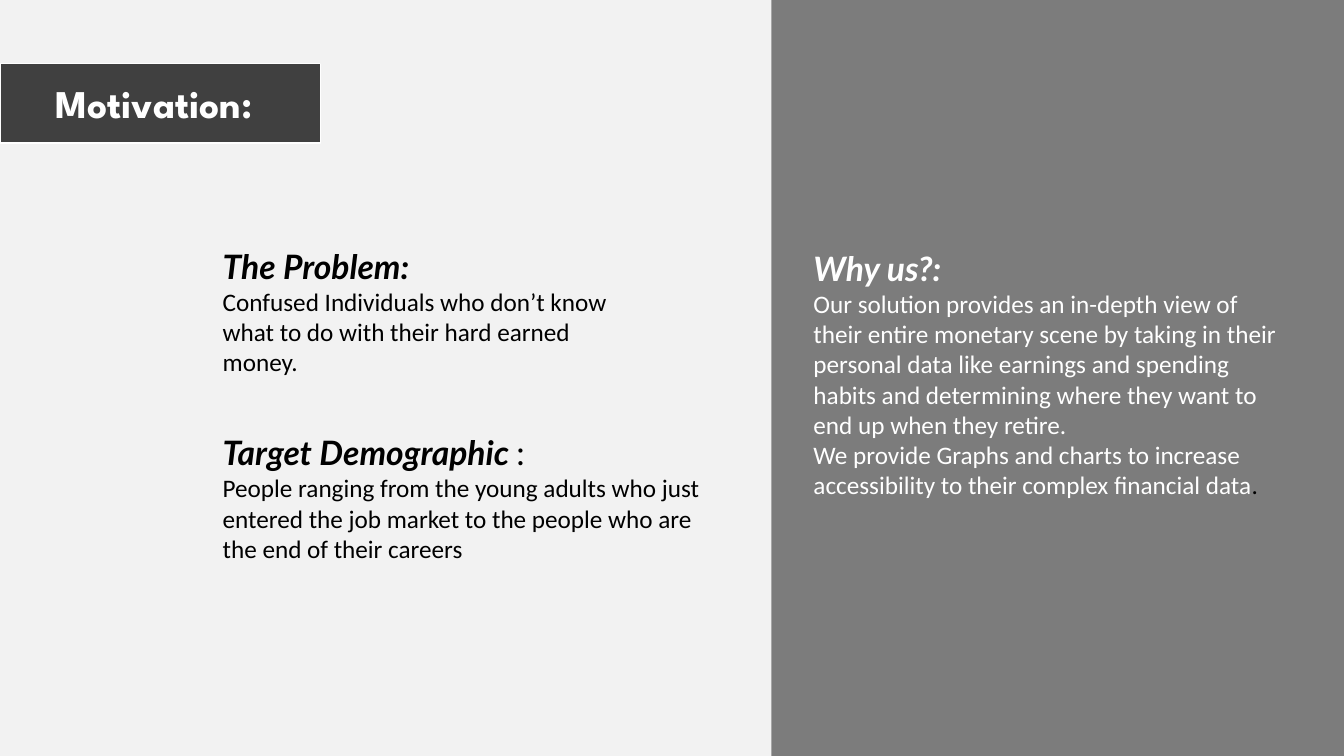
from dataclasses import dataclass
from typing import NamedTuple, Optional

from pptx import Presentation
from pptx.dml.color import RGBColor
from pptx.enum.shapes import MSO_SHAPE
from pptx.enum.text import MSO_AUTO_SIZE
from pptx.util import Inches, Pt

RECT = MSO_SHAPE.RECTANGLE
GROW = MSO_AUTO_SIZE.SHAPE_TO_FIT_TEXT
WIDE, HIGH = Inches(13.33), Inches(7.5)


@dataclass(frozen=True)
class Theme:
    """Colours, fonts and type sizes of the slide."""
    pale: str = "F2F2F2"
    gray: str = "7C7C7C"
    dark: str = "404040"
    white: str = "FFFFFF"
    black: str = "000000"
    title: str = "League Spartan"
    head: str = "Lato"
    body: str = "Calibri"
    big: int = 28
    mid: int = 24
    small: int = 18


class Area(NamedTuple):
    """Left, top, width and height in percent of the slide."""
    left: float
    top: float
    wide: float
    high: float

    def place(self) -> tuple[int, int, int, int]:
        """Turn the shares into slide lengths."""
        sides = (WIDE, HIGH, WIDE, HIGH)
        return tuple(round(side * share / 100) for side, share in zip(sides, self))


class Panel(NamedTuple):
    """A filled block, with an edge colour if it has one."""
    area: Area
    fill: str
    edge: Optional[str] = None


class Run(NamedTuple):
    """Words with one look; the style holds font values."""
    text: str
    color: str
    style: dict


class Block(NamedTuple):
    """A text box, one list of runs per paragraph."""
    area: Area
    paras: list[list[Run]]


LOOK = Theme()
TITLE = {"name": LOOK.title, "size": Pt(LOOK.big), "bold": True}
HEAD = {"name": LOOK.head, "size": Pt(LOOK.mid), "bold": True, "italic": True}
COLON = {**HEAD, "bold": False, "italic": False}
BODY = {"name": LOOK.body, "size": Pt(LOOK.small), "bold": False, "italic": False}

SPLIT = 57.39
INDENT = 15.83
COLUMN = 37.06

PANELS = [
    Panel(Area(0, 0, SPLIT, 100), LOOK.pale),
    Panel(Area(SPLIT, 0, 100 - SPLIT, 100), LOOK.gray),
    Panel(Area(0, 8.4, 23.86, 10.53), LOOK.dark, LOOK.white),
]

BLOCKS = [
    Block(Area(3.38, 9.87, 17.1, 7.6), [[Run("Motivation:", LOOK.white, TITLE)]]),
    Block(Area(INDENT, 56.53, COLUMN, 18.8), [
        [Run("Target Demographic ", LOOK.black, HEAD), Run(":", LOOK.black, COLON)],
        [Run("People ranging from the young adults who just entered the job "
             "market to the people who are the end of their careers",
             LOOK.black, BODY)],
    ]),
    Block(Area(59.79, 32.13, COLUMN, 35.07), [
        [Run("Why us?:", LOOK.white, HEAD)],
        [Run("Our solution provides an in-depth view of their entire monetary "
             "scene by taking in their personal data like earnings and spending "
             "habits and determining where they want to end up when they retire.",
             LOOK.white, BODY)],
        [Run("We provide Graphs and charts to increase accessibility to their "
             "complex financial data", LOOK.white, BODY),
         Run(".", LOOK.black, BODY)],
    ]),
    Block(Area(INDENT, 31.87, 31.96, 18.8), [
        [Run("The Problem:", LOOK.black, HEAD)],
        [Run("Confused Individuals who don\u2019t know what to do with their "
             "hard earned money.", LOOK.black, BODY)],
    ]),
]


def draw_panel(slide, panel: Panel) -> None:
    """Draw one filled block."""
    shape = slide.shapes.add_shape(RECT, *panel.area.place())
    shape.shadow.inherit = False
    shape.fill.solid()
    shape.fill.fore_color.rgb = RGBColor.from_string(panel.fill)
    if panel.edge:
        shape.line.color.rgb = RGBColor.from_string(panel.edge)
        shape.line.width = Pt(1)
    else:
        shape.line.fill.background()


def add_run(para, run: Run) -> None:
    """Append one styled run to a paragraph."""
    part = para.add_run()
    part.text = run.text
    for name, value in run.style.items():
        setattr(part.font, name, value)
    part.font.color.rgb = RGBColor.from_string(run.color)


def draw_block(slide, block: Block) -> None:
    """Draw one text box with its paragraphs."""
    frame = slide.shapes.add_textbox(*block.area.place()).text_frame
    for name, value in {"word_wrap": True, "auto_size": GROW}.items():
        setattr(frame, name, value)
    for index, runs in enumerate(block.paras):
        para = frame.add_paragraph() if index else frame.paragraphs[0]
        for run in runs:
            add_run(para, run)


def main() -> None:
    """Build the slide and save it."""
    deck = Presentation()
    deck.slide_width, deck.slide_height = WIDE, HIGH
    slide = deck.slides.add_slide(deck.slide_layouts[6])
    for panel in PANELS:
        draw_panel(slide, panel)
    for block in BLOCKS:
        draw_block(slide, block)
    deck.save("out.pptx")


main()
